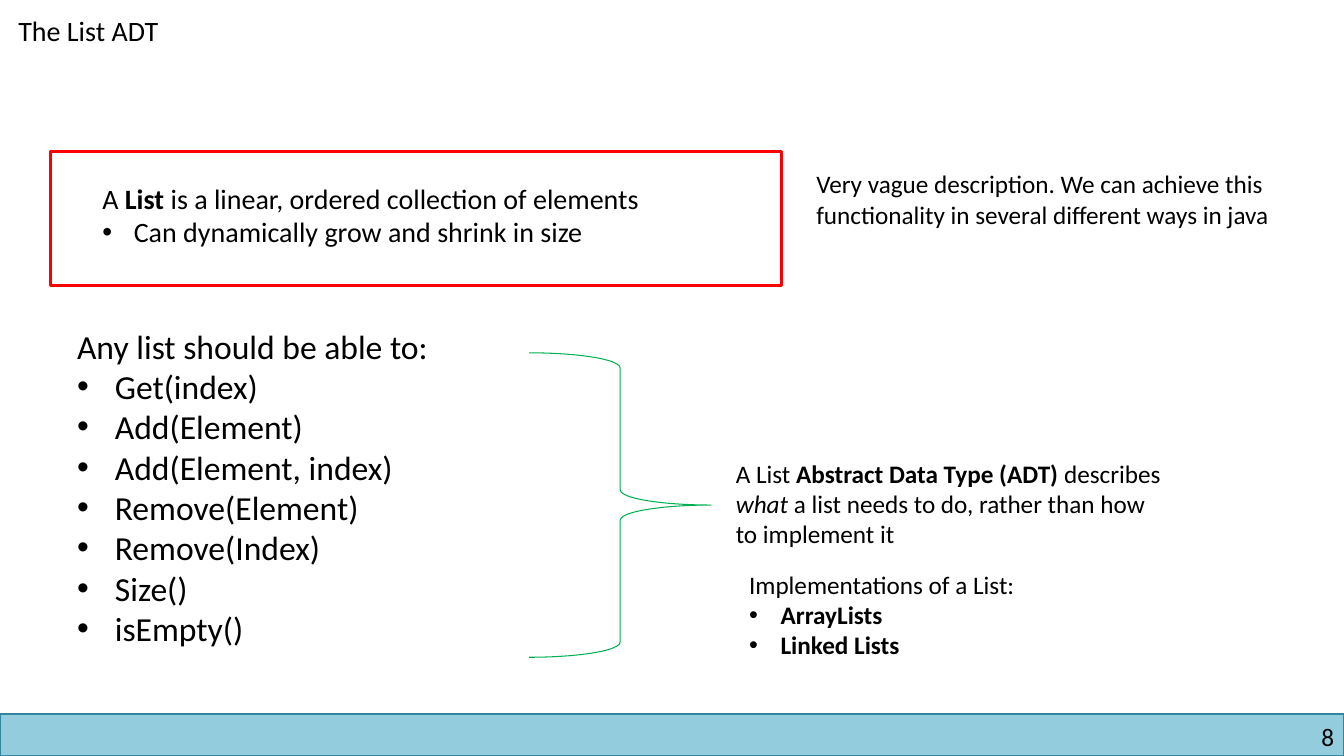
from dataclasses import dataclass

from lxml import etree
from pptx import Presentation
from pptx import util as u
from pptx.dml.color import RGBColor
from pptx.enum import shapes, text
from pptx.oxml.ns import qn


@dataclass(frozen=True)
class Theme:
    font: str = "Calibri"
    ink: str = "000000"
    bar: str = "93CDDD"
    bar_edge: str = "31859C"
    frame: str = "FF0000"
    brace: str = "00B050"
    small: int = 18
    medium: int = 20
    large: int = 24


T = Theme()
BOLD = {"bold": True}
ITALIC = {"italic": True}
SLIDE_W, SLIDE_H = 960, 540
INSET = (7.2, 3.6, 7.2, 3.6)


def add_outline(slide, kind, box, line, width, fill=None):
    sp = slide.shapes.add_shape(kind, *map(u.Pt, box))
    sp.shadow.inherit = False
    if fill:
        sp.fill.solid()
        sp.fill.fore_color.rgb = RGBColor.from_string(fill)
    else:
        sp.fill.background()
    sp.line.color.rgb = RGBColor.from_string(line)
    sp.line.width = u.Pt(width)
    return sp


def add_bullet(p, indent):
    pPr = p._p.get_or_add_pPr()
    pPr.set("marL", str(u.Pt(indent)))
    pPr.set("indent", str(-u.Pt(indent)))
    etree.SubElement(pPr, qn("a:buFont")).set("typeface", "Arial")
    etree.SubElement(pPr, qn("a:buChar")).set("char", "•")


def add_text(slide, box, size, lead, bullets=(), indent=22.5, inset=INSET, align=None):
    """Write a lead paragraph and its bullets; each is a list of (text, format) runs."""
    tf = slide.shapes.add_textbox(*map(u.Pt, box)).text_frame
    tf.word_wrap = True
    for side, gap in zip(("left", "top", "right", "bottom"), inset):
        setattr(tf, f"margin_{side}", u.Pt(gap))
    for i, runs in enumerate([lead, *bullets]):
        p = tf.add_paragraph() if i else tf.paragraphs[0]
        if i:
            add_bullet(p, indent)
        if align is not None:
            p.alignment = align
        for words, style in runs:
            r = p.add_run()
            r.text = words
            for name, value in {"name": T.font, "size": u.Pt(size), **style}.items():
                setattr(r.font, name, value)
            r.font.color.rgb = RGBColor.from_string(T.ink)


def add_footer(slide, box, number):
    x, y, w, h = box
    add_outline(slide, shapes.MSO_SHAPE.RECTANGLE, box, T.bar_edge, 1, T.bar)
    add_text(slide, (x + w - 228, y + 5, 221, 21.6), T.small, [(number, {})],
             inset=(0, 0, 0, 0), align=text.PP_ALIGN.RIGHT)


def add_definition(slide, box):
    """Framed definition of a list, with a remark to its right."""
    x, y, w, h = box
    add_text(slide, (x + 30, y + 18, w - 80, 56), T.medium,
             [("A ", {}), ("List", BOLD), (" is a linear, ordered collection of elements", {})],
             [[("Can dynamically grow and shrink in size", {})]])
    add_outline(slide, shapes.MSO_SHAPE.RECTANGLE, box, T.frame, 2)
    add_text(slide, (x + w + 18, y + 9, 354, 73), T.small,
             [("Very vague description. We can achieve this functionality "
               "in several different ways in java", {})])


def add_operations(slide, box):
    """Required operations, braced together at the right edge of the box."""
    x, y, w, h = box
    operations = ("Get(index)", "Add(Element)", "Add(Element, index)", "Remove(Element)",
                  "Remove(Index)", "Size()", "isEmpty()")
    add_text(slide, (x, y, 291, h), T.large, [("Any list should be able to:", {})],
             [[(name, {})] for name in operations], indent=27)
    add_outline(slide, shapes.MSO_SHAPE.RIGHT_BRACE, (x + w - 130, y + 23, 130, 217.5),
                T.brace, 0.75)


def add_summary(slide, box):
    """What the ADT is, above the ways to implement it."""
    x, y, w, h = box
    add_text(slide, (x, y, w, 73), T.small,
             [("A List ", {}), ("Abstract Data Type (ADT) ", BOLD), ("describes ", {}),
              ("what", ITALIC), (" a list needs to do, rather than how to implement it", {})])
    add_text(slide, (x + 9.5, y + h - 73, 222, 73), T.small,
             [("Implementations of a List:", {})],
             [[(name, BOLD)] for name in ("ArrayLists", "Linked Lists")])


def main():
    prs = Presentation()
    prs.slide_width, prs.slide_height = u.Pt(SLIDE_W), u.Pt(SLIDE_H)
    slide = prs.slides.add_slide(prs.slide_layouts[6])
    add_footer(slide, (0, 510, SLIDE_W, 30), "8")
    add_text(slide, (6, 6, 132, 32), T.medium, [("The List ADT", {})])
    add_definition(slide, (36, 108, 522, 96))
    add_operations(slide, (48, 229, 460, 240))
    add_summary(slide, (518.5, 323.5, 324, 152.5))
    prs.save("out.pptx")


if __name__ == "__main__":
    main()
